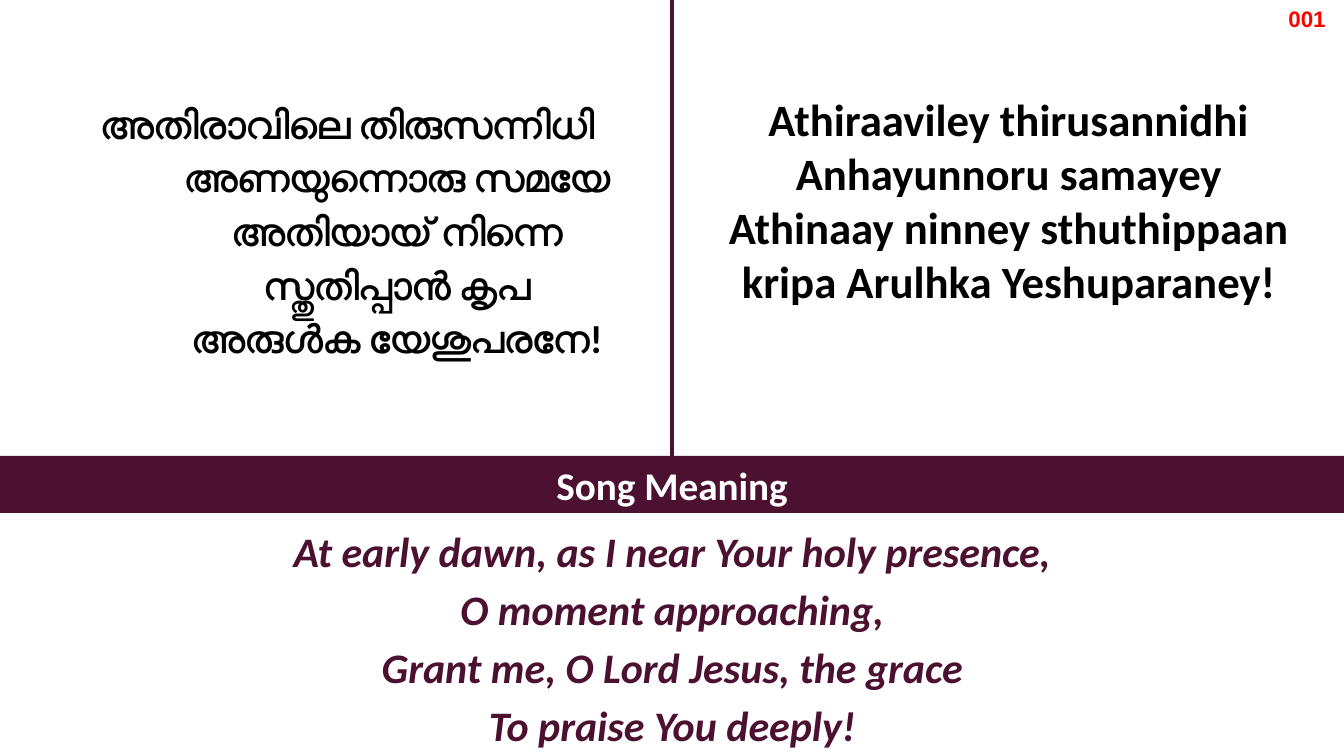
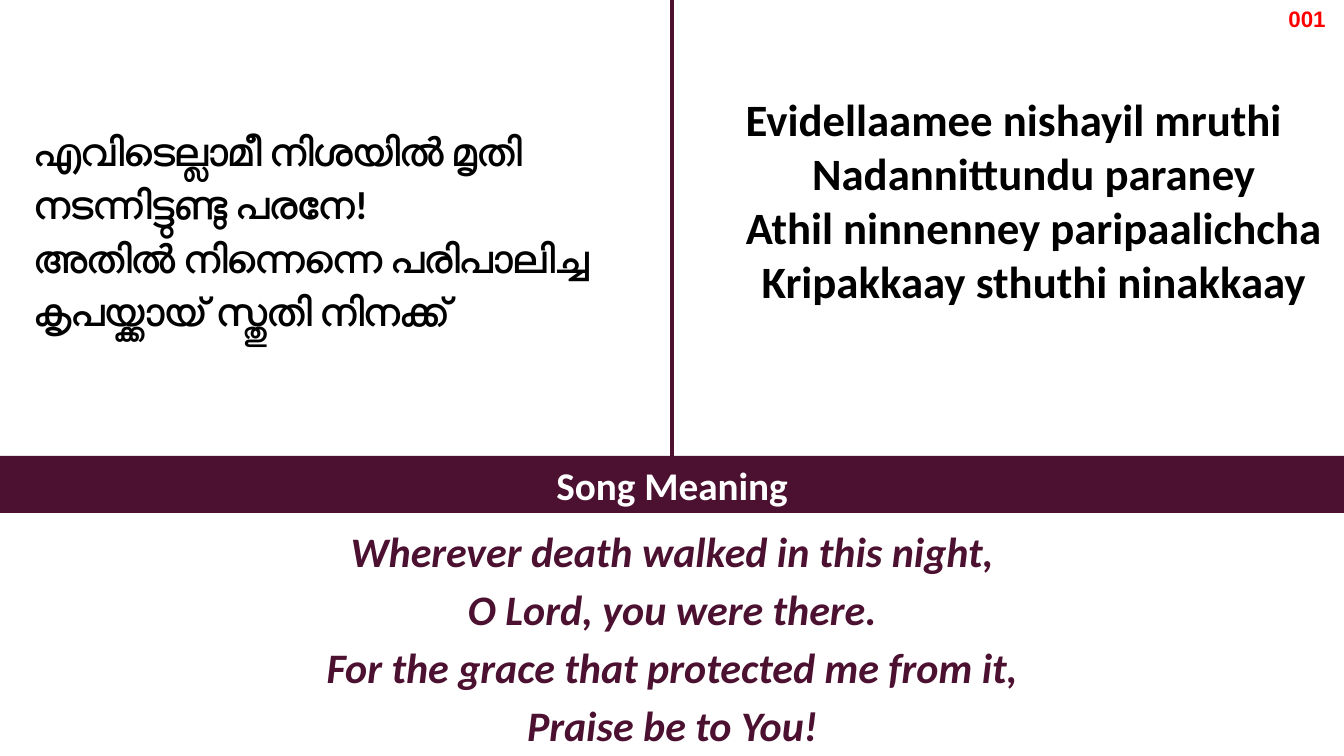
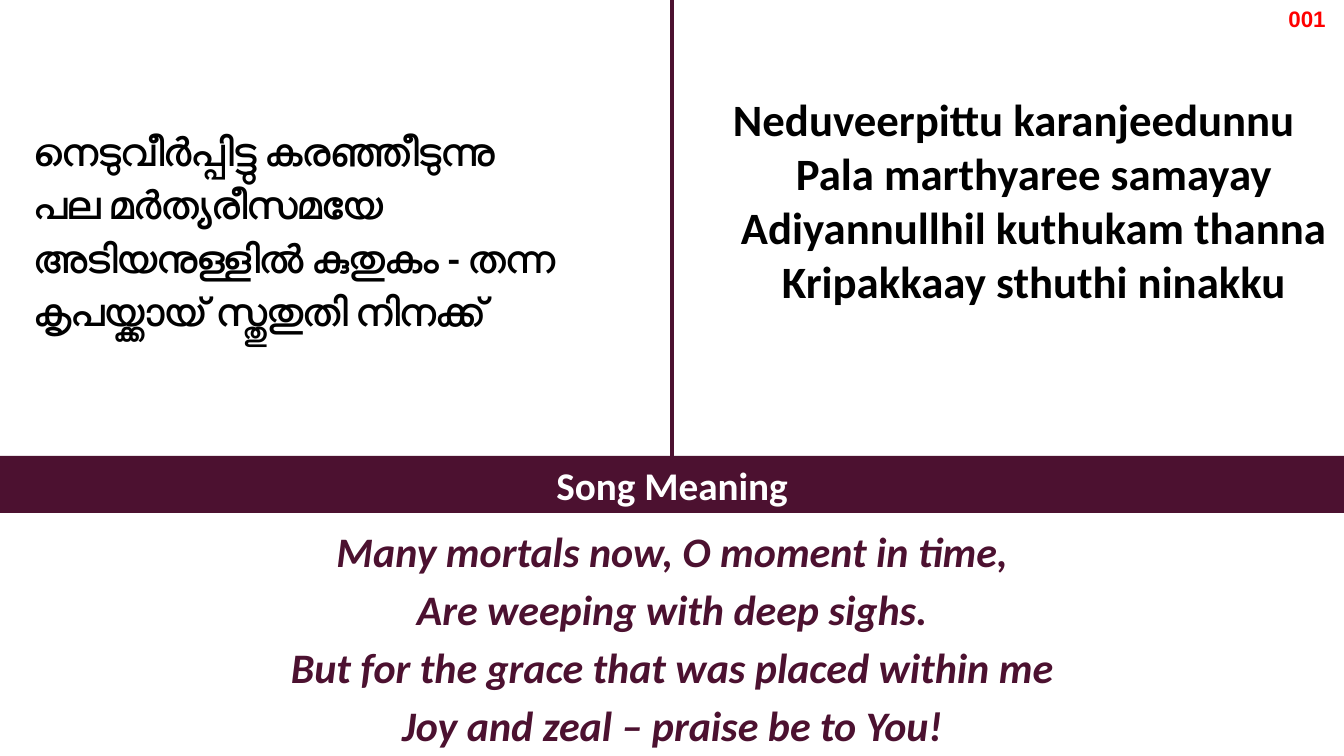
from lxml import etree
from pptx import Presentation
from pptx.dml.color import RGBColor
from pptx.enum.shapes import MSO_CONNECTOR, MSO_SHAPE
from pptx.enum.text import MSO_ANCHOR, MSO_AUTO_SIZE, PP_ALIGN
from pptx.oxml.ns import qn
from pptx.util import Emu, Pt

LEFT, CENTER = PP_ALIGN.LEFT, PP_ALIGN.CENTER
TOP, MIDDLE = MSO_ANCHOR.TOP, MSO_ANCHOR.MIDDLE
RECTANGLE, STRAIGHT = MSO_SHAPE.RECTANGLE, MSO_CONNECTOR.STRAIGHT
NO_AUTOFIT = MSO_AUTO_SIZE.NONE

# Content: one verse per slide, with the left indent of each line in px
SONG_NUMBER = "001"
BAND_LABEL = "Song Meaning"
VERSES = [
    {
        "malayalam": ["അതിരാവിലെ തിരുസന്നിധി", "അണയുന്നൊരു സമയേ", "അതിയായ് നിന്നെ",
                      "സ്തുതിപ്പാൻ കൃപ", "അരുൾക യേശുപരനേ!"],
        "malayalam_align": CENTER,
        "malayalam_indents": [0, 100, 100, 0, 100],
        "latin": ["Athiraaviley thirusannidhi ", "Anhayunnoru samayey ",
                  "Athinaay ninney sthuthippaan ", "kripa Arulhka Yeshuparaney! "],
        "latin_indents": [0, 0, 0, 0],
        "meaning": ["At early dawn, as I near Your holy presence,", "O moment approaching,",
                    "Grant me, O Lord Jesus, the grace", "To praise You deeply!"],
    },
    {
        "malayalam": ["എവിടെല്ലാമീ നിശയിൽ മൃതി", "നടന്നിട്ടുണ്ടു പരനേ!",
                      "അതിൽ നിന്നെന്നെ പരിപാലിച്ച", "കൃപയ്ക്കായ് സ്തുതി നിനക്ക്"],
        "malayalam_align": LEFT,
        "malayalam_indents": [0, 0, 0, 0],
        "latin": ["Evidellaamee nishayil mruthi", "Nadannittundu paraney",
                  "Athil ninnenney paripaalichcha", "Kripakkaay sthuthi ninakkaay"],
        "latin_indents": [0, 40, 40, 40],
        "meaning": ["Wherever death walked in this night,", "O Lord, you were there.",
                    "For the grace that protected me from it,", "Praise be to You!"],
    },
    {
        "malayalam": ["നെടുവീർപ്പിട്ടു കരഞ്ഞീടുന്നു", "പല മർത്യരീസമയേ",
                      "അടിയനുള്ളിൽ കുതുകം - തന്ന", "കൃപയ്ക്കായ് സ്തുതുതി നിനക്ക്"],
        "malayalam_align": LEFT,
        "malayalam_indents": [0, 0, 0, 0],
        "latin": ["Neduveerpittu karanjeedunnu", "Pala marthyaree samayay",
                  "Adiyannullhil kuthukam thanna", "Kripakkaay sthuthi ninakku"],
        "latin_indents": [0, 40, 40, 40],
        "meaning": ["Many mortals now, O moment in time,", "Are weeping with deep sighs.",
                    "But for the grace that was placed within me",
                    "Joy and zeal – praise be to You!"],
    },
]

# Shared style and layout, in px
PX_PER_INCH = 100.8
WIDTH, HEIGHT = 1344, 756
PLUM, BLACK, WHITE, RED = "4C1130", "000000", "FFFFFF", "FF0000"
BAND_TOP, BAND_HEIGHT = 456, 57
MALAYALAM_BOX = (24, 14, 647, 427)
LATIN_BOX = (685, 86, 658, 230)
MEANING_BOX = (93, BAND_TOP + BAND_HEIGHT, 1159, 244)
BAND_BOX = (0, BAND_TOP, WIDTH, BAND_HEIGHT)
NUMBER_BOX = (1270, 0, 74, 37)


def px(length):
    return Emu(round(length * 914400 / PX_PER_INCH))


def color(value):
    return RGBColor.from_string(value)


def write(shape, lines, *, size, fill=BLACK, font="Calibri", italic=False, align=CENTER,
          anchor=TOP, spacing=1.0, indents=None, inset=(10, 5)):
    """Fill a shape with bold text, one paragraph per line."""
    frame = shape.text_frame
    frame.word_wrap = True
    frame.auto_size = NO_AUTOFIT
    frame.vertical_anchor = anchor
    frame.margin_left = frame.margin_right = px(inset[0])
    frame.margin_top = frame.margin_bottom = px(inset[1])
    for index, line in enumerate(lines):
        paragraph = frame.add_paragraph() if index else frame.paragraphs[0]
        paragraph.alignment = align
        paragraph.line_spacing = spacing
        paragraph.space_before = Pt(0)
        if indents and indents[index]:
            properties = paragraph._p.get_or_add_pPr()
            properties.set("marL", str(px(indents[index])))
            properties.set("indent", "0")
        run = paragraph.add_run()
        run.text = line
        run.font.name = font
        run.font.size = Pt(size)
        run.font.bold = True
        run.font.italic = italic
        run.font.color.rgb = color(fill)
        # Malayalam uses the complex-script font
        etree.SubElement(run._r.get_or_add_rPr(), qn("a:cs"), typeface=font)


def add_text(slide, box, lines, **text_format):
    shape = slide.shapes.add_textbox(*map(px, box))
    write(shape, lines, **text_format)


def add_band(slide):
    band = slide.shapes.add_shape(RECTANGLE, *map(px, BAND_BOX))
    band.shadow.inherit = False
    band.fill.solid()
    band.fill.fore_color.rgb = color(PLUM)
    band.line.fill.background()
    write(band, [BAND_LABEL], size=28, fill=WHITE)


def add_divider(slide):
    middle = px(WIDTH / 2)
    divider = slide.shapes.add_connector(STRAIGHT, middle, 0, middle, px(BAND_TOP))
    divider.line.color.rgb = color(PLUM)
    divider.line.width = Pt(3)
    etree.SubElement(divider._element.spPr, qn("a:effectLst"))


def add_verse(presentation, verse):
    slide = presentation.slides.add_slide(presentation.slide_layouts[5])

    # Malayalam verse as the title
    title = slide.shapes.title
    title.left, title.top, title.width, title.height = map(px, MALAYALAM_BOX)
    write(title, verse["malayalam"], size=28, align=verse["malayalam_align"], anchor=MIDDLE,
          spacing=1.14, indents=verse["malayalam_indents"])

    # Transliteration and meaning
    add_text(slide, LATIN_BOX, verse["latin"], size=32, indents=verse["latin_indents"],
             inset=(12, 6))
    add_text(slide, MEANING_BOX, verse["meaning"], size=30, fill=PLUM, italic=True,
             spacing=1.15)

    # Frame shared by all slides
    add_band(slide)
    add_divider(slide)
    add_text(slide, NUMBER_BOX, [SONG_NUMBER], size=16, fill=RED, font="Arial")


def main():
    presentation = Presentation()
    presentation.slide_width, presentation.slide_height = px(WIDTH), px(HEIGHT)
    for verse in VERSES:
        add_verse(presentation, verse)
    presentation.save("out.pptx")


if __name__ == "__main__":
    main()
